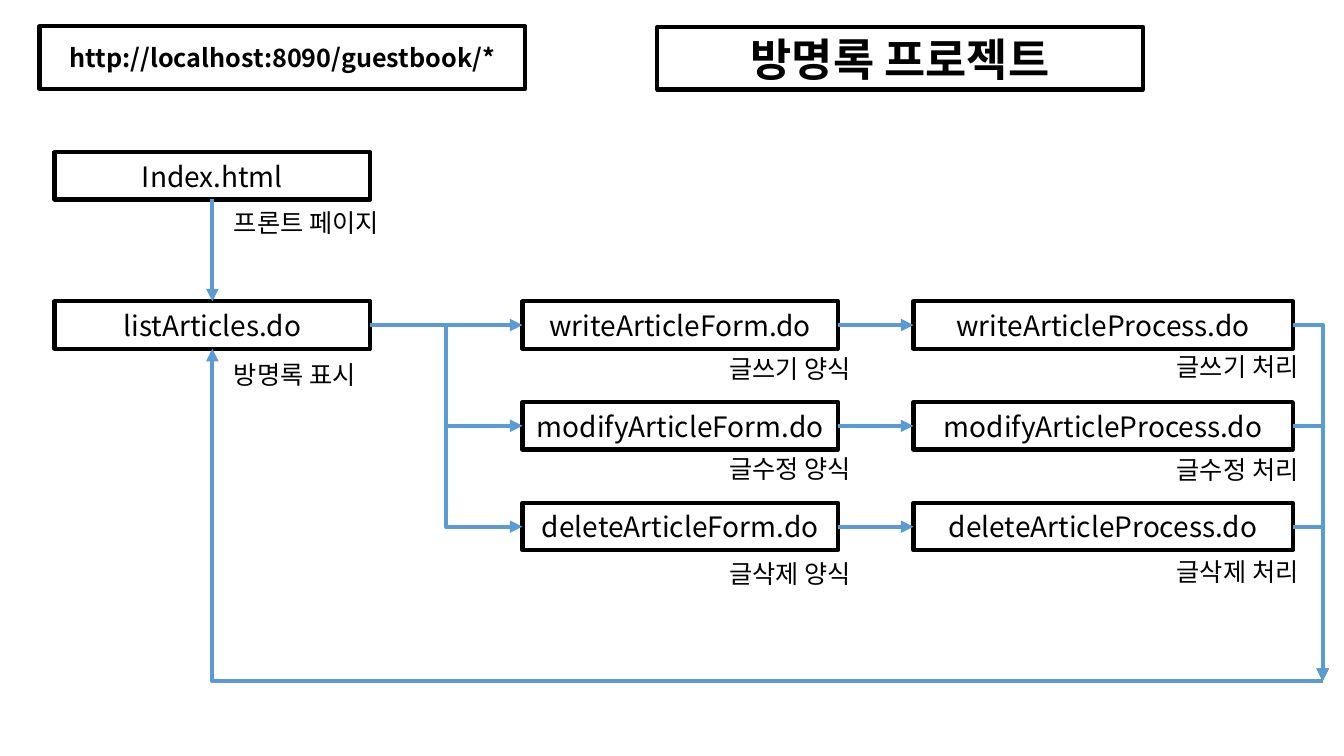
import dataclasses

import lxml.etree
import pptx
import pptx.dml.color
import pptx.enum.shapes
import pptx.enum.text
import pptx.oxml.ns
import pptx.util

Pt = pptx.util.Pt
RGB = pptx.dml.color.RGBColor
qn = pptx.oxml.ns.qn
RECTANGLE = pptx.enum.shapes.MSO_SHAPE.RECTANGLE
STRAIGHT = pptx.enum.shapes.MSO_CONNECTOR.STRAIGHT
ELBOW = pptx.enum.shapes.MSO_CONNECTOR.ELBOW
ALIGN = pptx.enum.text.PP_ALIGN
AUTO_SIZE = pptx.enum.text.MSO_AUTO_SIZE


@dataclasses.dataclass(frozen=True)
class Theme:
    font: str = "Noto Sans CJK KR"
    ink: RGB = RGB(0, 0, 0)
    paper: RGB = RGB(255, 255, 255)
    flow: RGB = RGB(0x5B, 0x9B, 0xD5)
    stroke: float = 3
    title: float = 32
    page: float = 20
    small: float = 18


theme = Theme()
deck = pptx.Presentation()
deck.slide_width = Pt(960)
deck.slide_height = Pt(540)
slide = deck.slides.add_slide(deck.slide_layouts[5])


def write(shape, text, size, bold=False, framed=True):
    frame = shape.text_frame
    frame.text = text
    paragraph = frame.paragraphs[0]
    paragraph.alignment = ALIGN.CENTER if framed else ALIGN.LEFT
    font = paragraph.runs[0].font
    font.name = theme.font
    font.size = Pt(size)
    font.bold = bold
    font.color.rgb = theme.ink
    east_asian = lxml.etree.SubElement(paragraph.runs[0]._r.rPr, qn("a:ea"))
    east_asian.set("typeface", theme.font)
    if framed:
        frame.auto_size = AUTO_SIZE.NONE
        frame.vertical_anchor = pptx.enum.text.MSO_ANCHOR.MIDDLE
        shape.fill.solid()
        shape.fill.fore_color.rgb = theme.paper
        shape.line.color.rgb = theme.ink
        shape.line.width = Pt(theme.stroke)


def link(kind, start, end, single_bend=False):
    arrow = slide.shapes.add_connector(kind, *map(Pt, start + end))
    arrow.line.color.rgb = theme.flow
    arrow.line.width = Pt(theme.stroke)
    lxml.etree.SubElement(arrow.line._ln, qn("a:tailEnd")).set("type", "triangle")
    properties = arrow._element.spPr
    lxml.etree.SubElement(properties, qn("a:effectLst"))
    if single_bend:
        properties.find(qn("a:prstGeom")).set("prst", "bentConnector2")
    return arrow


heading = slide.shapes.title
heading.left, heading.top, heading.width, heading.height = map(Pt, (469.5, 19.3, 347, 44.6))
write(heading, "방명록 프로젝트", theme.title, bold=True)

address = slide.shapes.add_shape(RECTANGLE, *map(Pt, (28.2, 18.8, 347, 44.6)))
address.shadow.inherit = False
write(address, "http://localhost:8090/guestbook/*", theme.small, bold=True)

page_height = 33.8
row_top, row_step = 215.3, 72
index_top = 108.7
start_left, start_width = 39, 225.4
form_left, form_width = 373.2, 225.4
process_left, process_width = 652.5, 271
start_right = start_left + start_width
start_middle = start_left + start_width / 2
list_center = row_top + page_height / 2
return_corner = (944.8, 486.5)

actions = ["write", "modify", "delete"]
pages = [
    ("Index.html", start_left, index_top, start_width),
    ("listArticles.do", start_left, row_top, start_width),
]
for row, action in enumerate(actions):
    top = row_top + row * row_step
    pages.append((f"{action}ArticleForm.do", form_left, top, form_width))
    pages.append((f"{action}ArticleProcess.do", process_left, top, process_width))

boxes = {}
for page, left, top, width in pages:
    box = slide.shapes.add_shape(RECTANGLE, Pt(left), Pt(top), Pt(width), Pt(page_height))
    box.shadow.inherit = False
    write(box, page, theme.page)
    boxes[page] = box

entry = link(STRAIGHT, (start_middle, index_top + page_height), (start_middle, row_top))
entry.begin_connect(boxes["Index.html"], 2)
entry.end_connect(boxes["listArticles.do"], 0)

for row, action in enumerate(actions):
    center = list_center + row * row_step
    form = boxes[f"{action}ArticleForm.do"]
    process = boxes[f"{action}ArticleProcess.do"]
    choose = link(ELBOW if row else STRAIGHT, (start_right, list_center), (form_left, center))
    choose.begin_connect(boxes["listArticles.do"], 3)
    choose.end_connect(form, 1)
    send = link(STRAIGHT, (form_left + form_width, center), (process_left, center))
    send.begin_connect(form, 3)
    send.end_connect(process, 1)
    link(ELBOW, (process_left + process_width, center), return_corner, single_bend=True)

link(ELBOW, return_corner, (start_middle, row_top + page_height), single_bend=True)

captions = [
    ("프론트 페이지", 160, 144.7, 130),
    ("방명록 표시", 160, 253.4, 111.6),
    ("글쓰기 양식", 514, 249.1, 111.6),
    ("글쓰기 처리", 833.5, 247.7, 111.6),
    ("글수정 양식", 514, 320.4, 111.6),
    ("글수정 처리", 833.5, 321.1, 111.6),
    ("글삭제 양식", 514, 395.3, 111.6),
    ("글삭제 처리", 833.5, 393.8, 111.6),
]
for wording, left, top, width in captions:
    caption = slide.shapes.add_textbox(Pt(left), Pt(top), Pt(width), Pt(29))
    caption.text_frame.word_wrap = False
    caption.text_frame.auto_size = AUTO_SIZE.SHAPE_TO_FIT_TEXT
    write(caption, wording, theme.small, framed=False)

deck.save("out.pptx")
